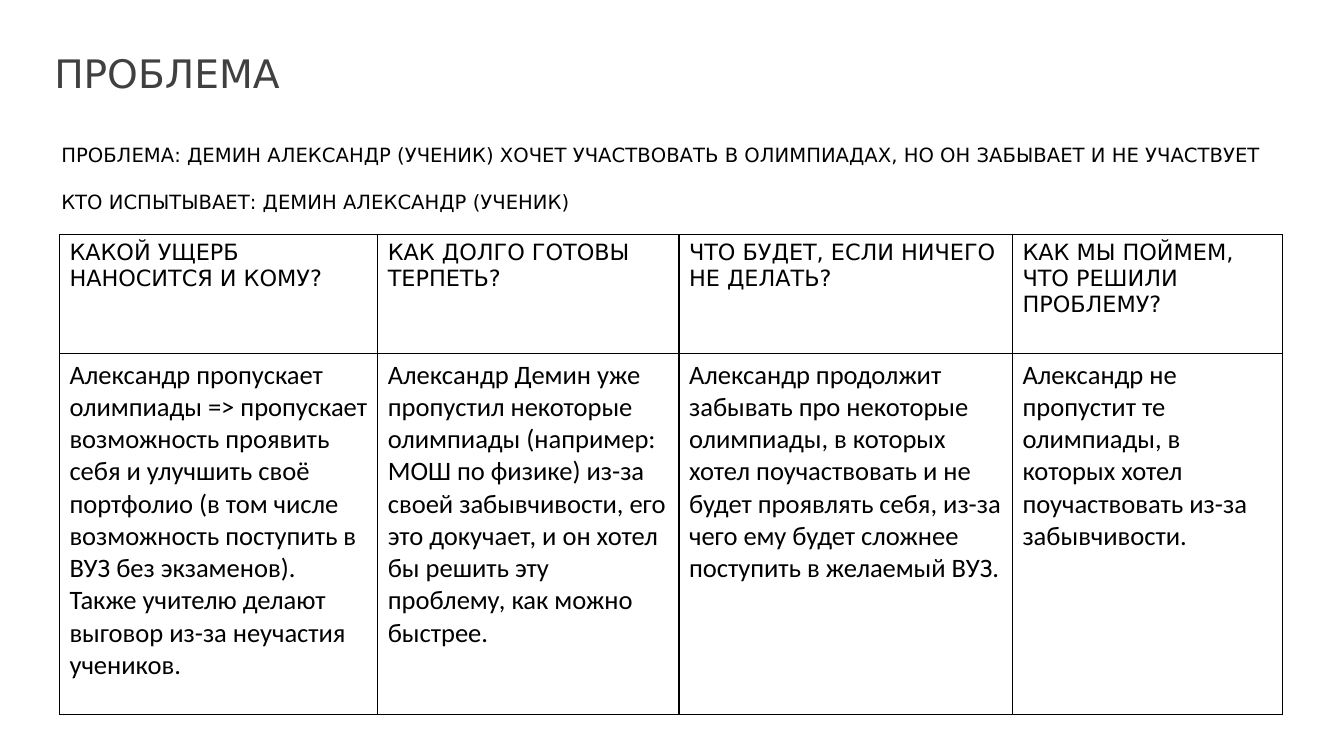
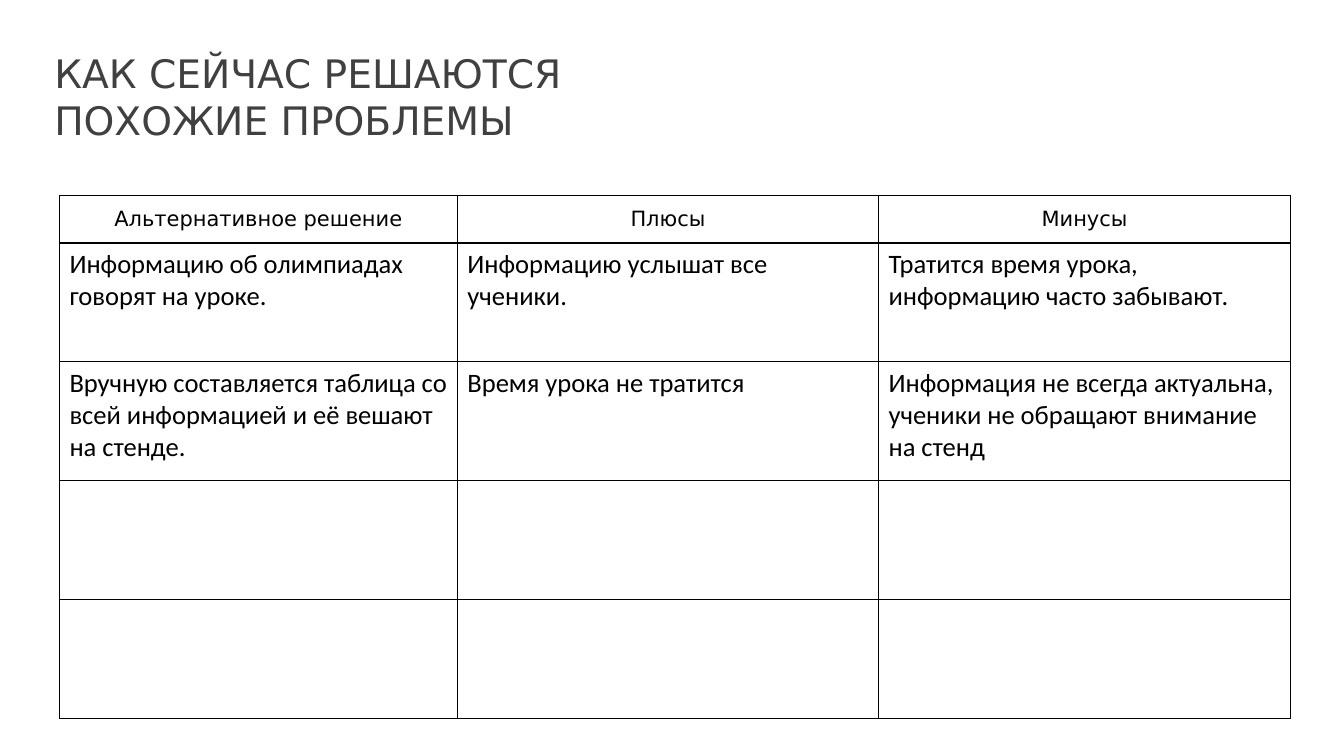
from lxml.etree import SubElement
from pptx import Presentation
from pptx.dml.color import RGBColor
from pptx.enum.text import MSO_ANCHOR as Anchor, PP_ALIGN as Align
from pptx.oxml.ns import qn
from pptx.util import Pt

PX = 9144
SLIDE_SIZE = (1334, 750)
MARGIN = 59
TITLE_BOX = (44, 44, 945, 104)
BLACK = "000000"
TITLE_COLOR = "404040"
HEADING_FONT = "DejaVu Sans"
BODY_FONT = "Calibri"
BODY_SIZE = 19
BLANK_LAYOUT = 6


def px(length):
    """Turn whole px into EMU."""
    return length * PX


def color(value):
    """Turn a hex string into a colour."""
    return RGBColor.from_string(value)


def format_text(text_frame, font, size, hex_color=BLACK, align=Align.LEFT, gap=0):
    """Style every paragraph, with a gap in points between paragraphs."""
    for index, paragraph in enumerate(text_frame.paragraphs):
        paragraph.alignment = align
        paragraph.space_before = Pt(gap if index else 0)
        for run in paragraph.runs:
            run.font.name = font
            run.font.size = Pt(size)
            run.font.color.rgb = color(hex_color)


def add_text(slide, box, lines, size, hex_color, gap=0):
    """Add a wrapped heading-font text box with one paragraph per line."""
    text_frame = slide.shapes.add_textbox(*map(px, box)).text_frame
    text_frame.word_wrap = True
    text_frame.text = "\n".join(lines)
    format_text(text_frame, HEADING_FONT, size, hex_color, gap=gap)


def add_title(slide, *lines):
    """Add the shared slide title."""
    add_text(slide, TITLE_BOX, lines, 28, TITLE_COLOR)


def outline_cell(cell):
    """Give a cell thin black borders and no fill."""
    properties = cell._tc.get_or_add_tcPr()
    for side in ("lnL", "lnR", "lnT", "lnB"):
        line = SubElement(properties, qn(f"a:{side}"), w=str(Pt(1)))
        fill = SubElement(line, qn("a:solidFill"))
        SubElement(fill, qn("a:srgbClr"), val=BLACK)
    cell.fill.background()


def add_grid(slide, origin, widths, heights, rows, header_size, header_align, header_anchor):
    """Add a bordered table with a header row; rows without text stay empty."""
    box = (*origin, sum(widths), sum(heights))
    table = slide.shapes.add_table(len(heights), len(widths), *map(px, box)).table
    table.first_row = False
    table.horz_banding = False
    for column, width in zip(table.columns, widths):
        column.width = px(width)
    for row, height in zip(table.rows, heights):
        row.height = px(height)
    for cell in table.iter_cells():
        outline_cell(cell)
    for row_index, texts in enumerate(rows):
        for column_index, text in enumerate(texts):
            cell = table.cell(row_index, column_index)
            cell.text_frame.text = text
            if row_index == 0:
                cell.vertical_anchor = header_anchor
                format_text(cell.text_frame, HEADING_FONT, header_size, align=header_align)
            else:
                format_text(cell.text_frame, BODY_FONT, BODY_SIZE)


def build_problem(slide):
    """Build the slide that states the problem."""
    add_title(slide, "ПРОБЛЕМА")
    statement = [
        "ПРОБЛЕМА: ДЕМИН АЛЕКСАНДР (УЧЕНИК) ХОЧЕТ УЧАСТВОВАТЬ В ОЛИМПИАДАХ, НО ОН ЗАБЫВАЕТ И НЕ УЧАСТВУЕТ",
        "КТО ИСПЫТЫВАЕТ: ДЕМИН АЛЕКСАНДР (УЧЕНИК)",
    ]
    add_text(slide, (51, 137, 1222, 104), statement, 14, BLACK, gap=17)
    rows = [
        [
            "КАКОЙ УЩЕРБ НАНОСИТСЯ И КОМУ?",
            "КАК ДОЛГО ГОТОВЫ ТЕРПЕТЬ?",
            "ЧТО БУДЕТ, ЕСЛИ НИЧЕГО НЕ ДЕЛАТЬ?",
            "КАК МЫ ПОЙМЕМ, ЧТО РЕШИЛИ ПРОБЛЕМУ?",
        ],
        [
            "Александр пропускает олимпиады => пропускает возможность проявить себя и улучшить своё "
            "портфолио (в том числе возможность поступить в ВУЗ без экзаменов). "
            "Также учителю делают выговор из-за неучастия учеников.",
            "Александр Демин уже пропустил некоторые олимпиады (например: МОШ по физике) из-за своей "
            "забывчивости, его это докучает, и он хотел бы решить эту проблему, как можно быстрее.",
            "Александр продолжит забывать про некоторые олимпиады, в которых хотел поучаствовать и не "
            "будет проявлять себя, из-за чего ему будет сложнее поступить в желаемый ВУЗ.",
            "Александр не пропустит те олимпиады, в которых хотел поучаствовать из-за забывчивости.",
        ],
    ]
    add_grid(slide, (MARGIN, 233), (316, 299, 331, 268), (118, 358), rows,
             16, Align.LEFT, Anchor.TOP)


def build_alternatives(slide):
    """Build the slide that compares current solutions."""
    add_title(slide, "КАК СЕЙЧАС РЕШАЮТСЯ", "ПОХОЖИЕ ПРОБЛЕМЫ")
    rows = [
        ["Альтернативное решение", "Плюсы", "Минусы"],
        [
            "Информацию об олимпиадах говорят на уроке.",
            "Информацию услышат все ученики.",
            "Тратится время урока, информацию часто забывают.",
        ],
        [
            "Вручную составляется таблица со всей информацией и её вешают на стенде.",
            "Время урока не тратится",
            "Информация не всегда актуальна, ученики не обращают внимание на стенд",
        ],
    ]
    add_grid(slide, (MARGIN, 194), (395, 418, 409), (47, *[118] * 4), rows,
             15, Align.CENTER, Anchor.MIDDLE)


def main():
    """Build and save the presentation."""
    presentation = Presentation()
    presentation.slide_width, presentation.slide_height = map(px, SLIDE_SIZE)
    for build in (build_problem, build_alternatives):
        build(presentation.slides.add_slide(presentation.slide_layouts[BLANK_LAYOUT]))
    presentation.save("out.pptx")


if __name__ == "__main__":
    main()
